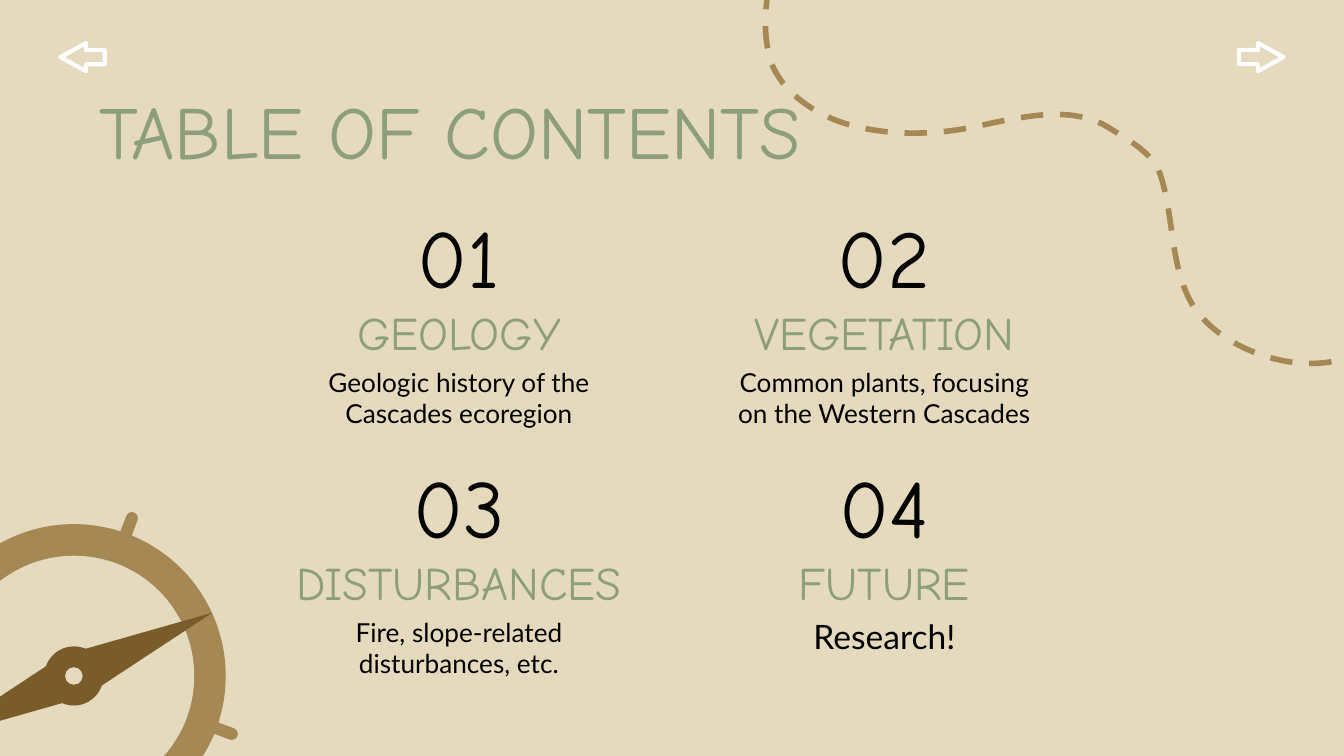
from lxml import etree
from pptx import Presentation, util as u
from pptx.dml.color import RGBColor
from pptx.enum import dml, shapes, text
from pptx.oxml.ns import qn

HUES = {"sand": "E5DABE", "sage": "8D9E7C", "tan": "A58854",
        "brown": "795C29", "ink": "000000", "white": "FFFFFF"}
HAND, BODY = "Comic Neue", "Lato"
KIND = shapes.MSO_SHAPE


def cell(n):
    """One grid column or row is a tenth of an inch."""
    return u.Inches(n / 10)


def hue(name):
    return RGBColor.from_string(HUES[name])


class Deck:
    def __init__(self, cols, rows):
        self.prs = Presentation()
        self.prs.slide_width, self.prs.slide_height = cell(cols), cell(rows)
        self.page = self.prs.slides.add_slide(self.prs.slide_layouts[6])
        back = self.page.background.fill
        back.solid()
        back.fore_color.rgb = hue("sand")

    def paint(self, shape, fill=None, line=None, width=0):
        shape.shadow.inherit = False
        if fill:
            shape.fill.solid()
            shape.fill.fore_color.rgb = hue(fill)
        else:
            shape.fill.background()
        if line:
            shape.line.color.rgb = hue(line)
            shape.line.width = u.Pt(width)
        else:
            shape.line.fill.background()
        return shape

    def label(self, words, x, y, w, h, size, font, color,
              align="CENTER", anchor="TOP"):
        box = self.page.shapes.add_textbox(cell(x), cell(y), cell(w), cell(h))
        frame = box.text_frame
        frame.text, frame.word_wrap = words, True
        frame.vertical_anchor = getattr(text.MSO_ANCHOR, anchor)
        frame.margin_left = frame.margin_right = cell(1)
        frame.margin_top = frame.margin_bottom = cell(1)
        para = frame.paragraphs[0]
        para.alignment = getattr(text.PP_ALIGN, align)
        for run in para.runs:
            run.font.size, run.font.name = u.Pt(size), font
            run.font.color.rgb = hue(color)

    def preset(self, kind, mid, w, h, turn=0, **look):
        """Place a preset shape around its middle."""
        x, y = mid
        shape = self.page.shapes.add_shape(
            kind, cell(x - w / 2), cell(y - h / 2), cell(w), cell(h))
        shape.rotation = turn
        return self.paint(shape, **look)

    def disc(self, mid, r, fill):
        self.preset(KIND.OVAL, mid, 2 * r, 2 * r, fill=fill)

    def outline(self, points, close=True, **look):
        first, *rest = [(cell(x), cell(y)) for x, y in points]
        form = self.page.shapes.build_freeform(*first)
        form.add_line_segments(rest, close=close)
        return self.paint(form.convert_to_shape(), **look)

    def curve(self, points, **look):
        """Each three points after the first make one cubic curve."""
        shape = self.outline(points, close=False, **look)
        path = next(shape._element.iter(qn("a:path")))
        lines = path.findall(qn("a:lnTo"))
        for i in range(0, len(lines), 3):
            bend = etree.SubElement(path, qn("a:cubicBezTo"))
            for line in lines[i:i + 3]:
                bend.append(line[0])
                path.remove(line)
        return shape


def main():
    deck = Deck(100, 56.25)

    # Dashed trail
    trail = deck.curve(
        [(57.9, -3.8), (57.1, -1.1), (56.5, 2), (57.4, 4.7),
         (58.2, 6.8), (60.5, 8.4), (62.6, 9.1),
         (65.6, 10.1), (69.1, 10.1), (72.2, 9.5),
         (75.6, 8.8), (79.6, 7.7), (82.5, 9.5),
         (83.9, 10.4), (85.7, 11.3), (86.3, 12.9),
         (87.4, 16.1), (87, 19.9), (88.8, 22.8),
         (91.2, 26.5), (98.2, 28.5), (101.7, 25.8)], line="tan", width=3)
    trail.line.dash_style = dml.MSO_LINE.DASH

    # Title
    deck.label("TABLE OF CONTENTS", 6.4, 5.3, 87.1, 6.3, 40, HAND, "sage",
               align="LEFT")

    # Contents, two by two
    topics = [("GEOLOGY", "Geologic history of the Cascades ecoregion", 14),
              ("VEGETATION",
               "Common plants, focusing on the Western Cascades", 14),
              ("DISTURBANCES", "Fire, slope-related disturbances, etc.", 14),
              ("FUTURE", "Research!", 18)]
    for i, (head, note, size) in enumerate(topics):
        row, col = divmod(i, 2)
        mid, top = 34.15 + 31.65 * col, 16.7 + 18.6 * row
        deck.label(f"{i + 1:02}", mid - 8.45, top, 16.9, 7, 44, HAND, "ink",
                   anchor="BOTTOM")
        deck.label(head, mid - 14.25, top + 4.9, 28.5, 3.9, 25, HAND, "sage")
        deck.label(note, mid - 12.9, top + 9.55, 25.8, 5.4, size, BODY, "ink")

    # Compass: ticks, ring, needle, hub
    hub = hx, hy = 5.5, 50.3
    for dx, dy, turn in [(3.75, -10.25, 20.5), (10.25, 3.75, 110.5)]:
        tick = deck.preset(KIND.ROUND_2_SAME_RECTANGLE, (hx + dx, hy + dy),
                           0.9, 4.1, turn, fill="tan")
        tick.adjustments[0] = 0.5
    deck.disc(hub, 11.3, "tan")
    deck.disc(hub, 8.95, "sand")
    half = [(10.3, -4.7), (2.1, 0.7), (-0.8, 2)]
    deck.outline([(hx + s * x, hy + s * y) for s in (1, -1) for x, y in half],
                 fill="brown")
    deck.disc(hub, 2.2, "brown")
    deck.disc(hub, 0.65, "sand")

    # Back and next arrows
    for x, turn in [(6.15, 180), (93.85, 0)]:
        arrow = deck.preset(KIND.RIGHT_ARROW, (x, 4.25), 3.3, 2.1, turn,
                            line="white", width=2.25)
        arrow.adjustments[1] = 0.905

    deck.prs.save("out.pptx")


if __name__ == "__main__":
    main()
